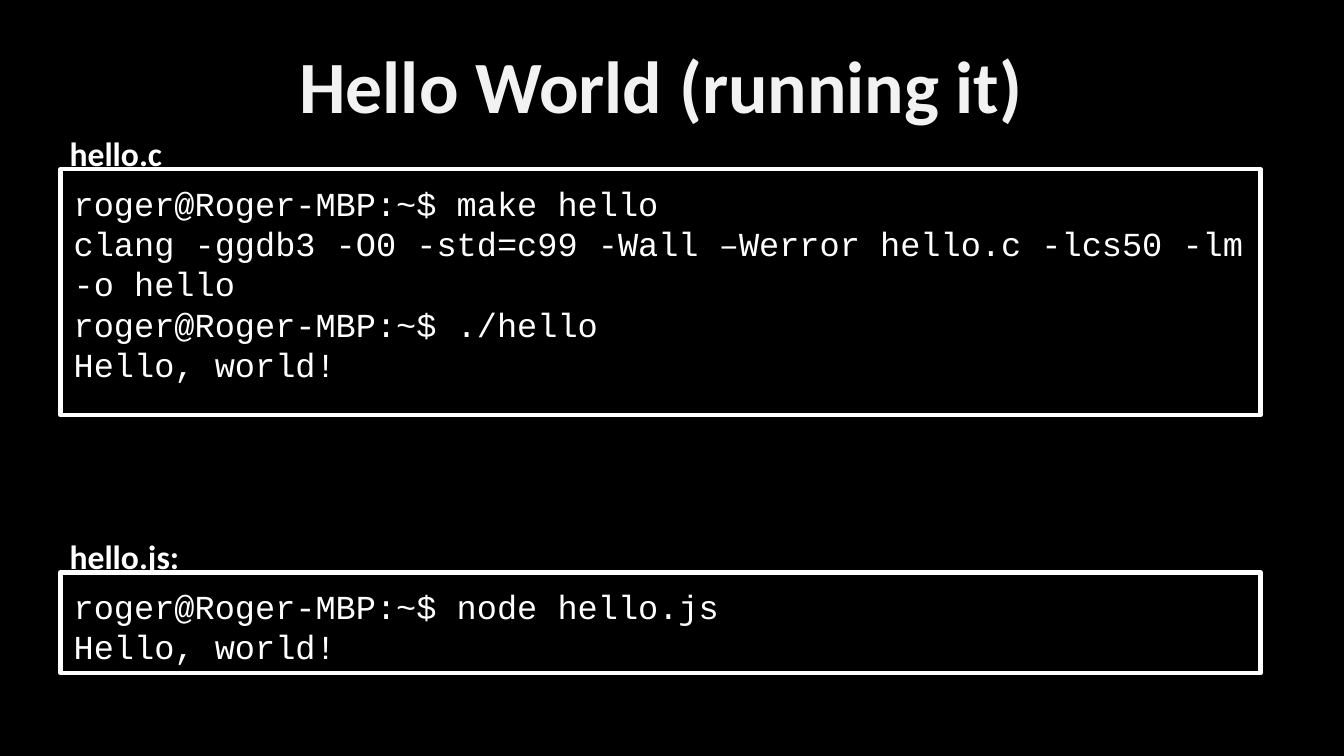
from pptx import Presentation
from pptx.dml.color import RGBColor
from pptx.enum import shapes, text
from pptx.util import Inches, Pt

BLACK = RGBColor(0x00, 0x00, 0x00)
WHITE = RGBColor(0xFF, 0xFF, 0xFF)
OFF_WHITE = RGBColor(0xF2, 0xF2, 0xF2)

C_SESSION = [
    "roger@Roger-MBP:~$ make hello",
    "clang -ggdb3 -O0 -std=c99 -Wall –Werror hello.c -lcs50 -lm -o hello",
    "roger@Roger-MBP:~$ ./hello",
    "Hello, world!",
]
JS_SESSION = [
    "roger@Roger-MBP:~$ node hello.js",
    "Hello, world!",
]


def write_lines(frame, lines, font_name, size, color, bold=False,
                align=text.PP_ALIGN.LEFT):
    frame.word_wrap = True
    frame.auto_size = text.MSO_AUTO_SIZE.NONE
    frame.text = "\n".join(lines)
    for paragraph in frame.paragraphs:
        paragraph.alignment = align
        font = paragraph.font
        font.name, font.size, font.bold = font_name, Pt(size), bold
        font.color.rgb = color


def set_insets(frame, horizontal, vertical):
    frame.margin_left = frame.margin_right = Inches(horizontal)
    frame.margin_top = frame.margin_bottom = Inches(vertical)


def set_title(page, wording):
    title = page.shapes.title
    title.left, title.top = Inches(0.8), Inches(-0.09)
    title.width, title.height = Inches(8.24), Inches(1.43)
    frame = title.text_frame
    set_insets(frame, 0.1, 0.05)
    frame.vertical_anchor = text.MSO_ANCHOR.MIDDLE
    write_lines(frame, [wording], "Calibri", 39.5, OFF_WHITE, True,
                text.PP_ALIGN.CENTER)


def add_label(page, wording, top):
    box = page.shapes.add_textbox(Inches(0.42), Inches(top), Inches(4), Inches(0.38))
    set_insets(box.text_frame, 0.1, 0.1)
    write_lines(box.text_frame, [wording], "Calibri", 18, WHITE, True)


def add_terminal(page, lines, top, height):
    box = page.shapes.add_shape(shapes.MSO_SHAPE.RECTANGLE, Inches(0.45),
                                Inches(top), Inches(8.93), Inches(height))
    box.shadow.inherit = False
    box.fill.background()
    box.line.color.rgb = WHITE
    box.line.width = Pt(2.25)
    set_insets(box.text_frame, 0.1, 0.1)
    box.text_frame.vertical_anchor = text.MSO_ANCHOR.TOP
    write_lines(box.text_frame, lines, "Courier New", 18, WHITE)


def main():
    deck = Presentation()
    deck.slide_width = Inches(10)
    deck.slide_height = deck.slide_width * 9 // 16
    page = deck.slides.add_slide(deck.slide_layouts[5])
    page.background.fill.solid()
    page.background.fill.fore_color.rgb = BLACK
    set_title(page, "Hello World (running it)")
    add_label(page, "hello.c", 0.89)
    add_terminal(page, C_SESSION, 1.26, 1.83)
    add_terminal(page, JS_SESSION, 4.26, 0.75)
    add_label(page, "hello.js:", 3.89)
    deck.save("out.pptx")


if __name__ == "__main__":
    main()
